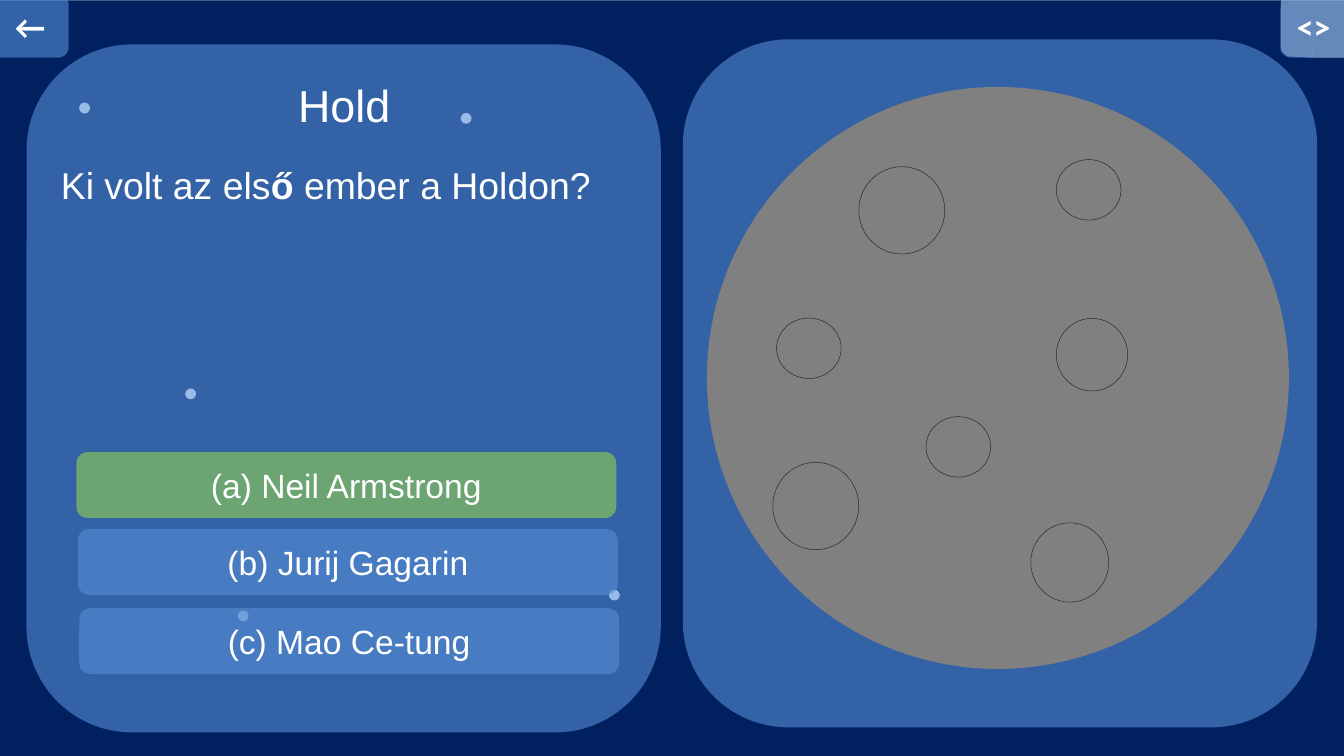
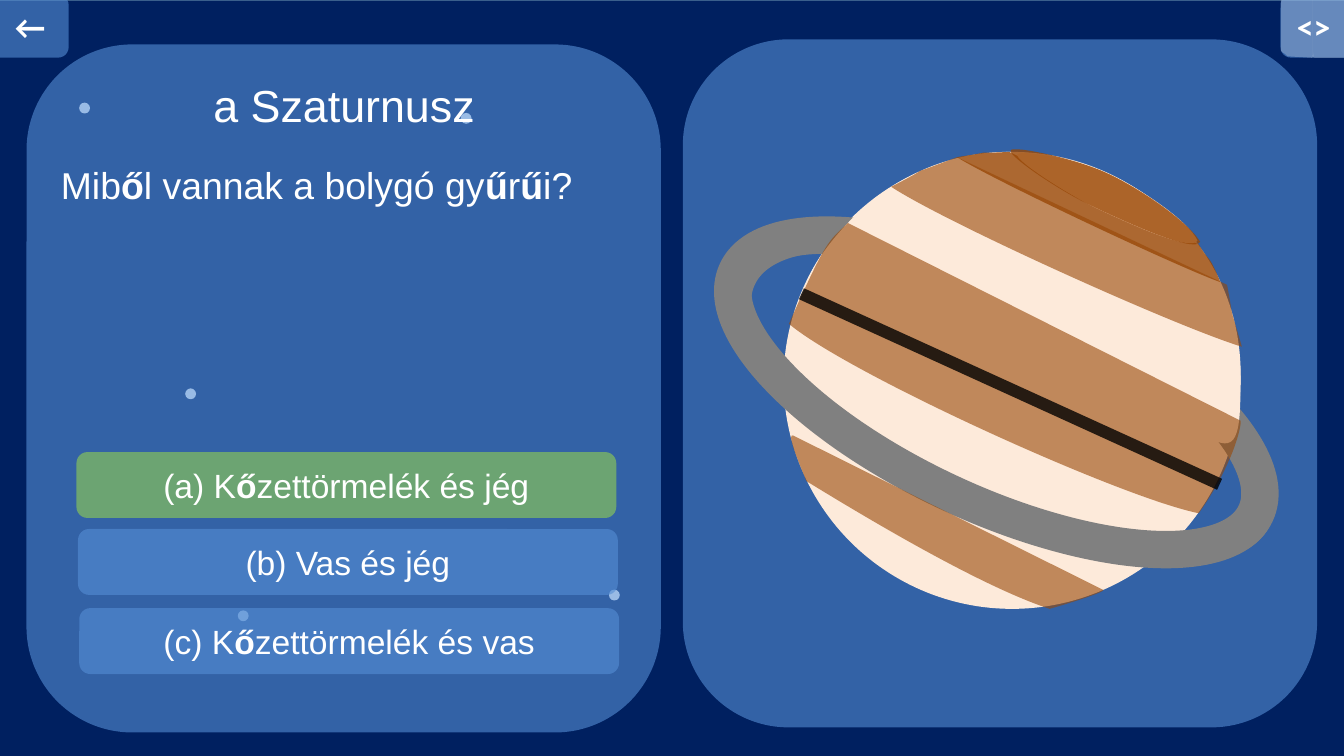
from dataclasses import dataclass
from itertools import groupby
from math import cos, radians, sin

from lxml.etree import SubElement
from pptx import Presentation
from pptx.dml.color import RGBColor
from pptx.enum.shapes import MSO_SHAPE
from pptx.enum.text import MSO_ANCHOR, MSO_AUTO_SIZE, PP_ALIGN
from pptx.oxml.ns import qn
from pptx.util import Pt


@dataclass(frozen=True)
class Theme:
    """Colours, fonts and type sizes of the quiz."""
    night: str = "002060"
    frame: str = "3A5F8C"
    panel: str = "558ED5"
    right: str = "92D050"
    white: str = "FFFFFF"
    rock: str = "808080"
    crater: str = "262626"
    cream: str = "FDEADA"
    peach: str = "FCD5B5"
    brown: str = "984807"
    black: str = "000000"
    text_font: str = "Arial"
    button_font: str = "Calibri"
    title_size: int = 24
    question_size: int = 20
    button_size: int = 18


@dataclass(frozen=True)
class Outline:
    """A box, its rotation, and page points: 2 numbers a line, 6 a curve."""
    box: tuple
    rotation: float
    steps: list


T = Theme()

STARS = [(326.2, 315.9), (246.8, 60.5), (99.2, 208.1), (127.4, 327), (42.4, 55)]
ANSWER_SPOTS = [(41, 242.2), (41.8, 283.4), (42.5, 325.8)]
CRATERS = [
    (565.9, 170.6, 38.2, 38.9),
    (552.2, 280.1, 41.8, 42.5),
    (460.1, 89.3, 46.1, 46.8),
    (414, 247.7, 46.1, 46.8),
    (416, 170.4, 34.6, 32.4),
    (565.9, 85.5, 34.6, 32.4),
    (496.1, 223.2, 34.6, 32.4),
]
BUTTON_HALVES = [
    Outline((686.2, -2.9, 18, 33.8), 0, [
        (686.2, 0), (688.3, -2.2, 687.6, -0.7, 689, -2.9), (702, -2.9),
        (704.2, -2.9, 703.4, -2.2, 703.4, 0), (703.4, 28.1),
        (703.4, 29.5, 704.2, 31, 702.7, 31), (689.8, 30.2),
        (688.3, 28.8, 689, 29.5, 686.2, 27.4), (686.2, 0)]),
    Outline((703.4, -2.9, 20.2, 33.8), 0, [
        (703.4, 0), (703.4, -1.4, 702.7, -2.9, 704.2, -2.9), (720, -2.9),
        (722.2, -2.9, 723.6, -1.4, 723.6, 0), (723.6, 27.4),
        (723.6, 29.5, 724.3, 31, 722.2, 31), (704.2, 31),
        (702.7, 31, 703.4, 29.5, 703.4, 27.4), (703.4, 0)]),
]
DOME = Outline((429.1, 81.4, 235.4, 156.2), 0, [
    (430.6, 155.5), (434.9, 138.2, 473.8, 81.4, 540, 81.4),
    (606.2, 82.1, 667.4, 131, 664.6, 205.9),
    (664.6, 273.6, 650.2, 217.4, 536.4, 179.3),
    (422.6, 140.4, 427, 172.1, 430.6, 155.5)])
POLAR_BAND = Outline((507.6, 103.7, 156.2, 17.3), 25, [
    (512.6, 84.2), (540.7, 79.9, 514.1, 82.8, 540.7, 81.4), (642.2, 131),
    (648.7, 141.8, 647.3, 135.4, 653.8, 151.2),
    (630, 142.6, 533.5, 97.2, 512.6, 84.2)])
CAP_BASE = Outline((540.7, 94.3, 106.6, 19.4), 25, [
    (545, 82.8), (546.5, 79.9, 578.9, 85.7, 594.7, 93.6),
    (610.6, 100.8, 636.5, 118.1, 641.5, 128.9),
    (638.6, 135.4, 602.6, 118.8, 586.1, 110.9),
    (570.2, 103, 543.6, 85.7, 545, 82.8)])
CAP = Outline((536.4, 93.6, 113, 19.4), 25, [
    (541.4, 80.6), (542.2, 77.8, 577.4, 85, 594.7, 93.6),
    (611.3, 101.5, 636.5, 118.8, 643, 129.6),
    (640.1, 136.1, 601.2, 118.1, 584.6, 110.2),
    (567.4, 102.2, 540, 83.5, 541.4, 80.6)])
NORTH_BAND = Outline((473.8, 114.5, 205.9, 33.8), 24.2, [
    (477.4, 100.1), (509.8, 83.5, 473.8, 99.4, 512.6, 84.2), (657.4, 152.6),
    (661.7, 175.7, 657.4, 158.4, 665.3, 185.8),
    (630, 175, 506.9, 119.5, 477.4, 100.1)])
EQUATOR_BAND = Outline((422.6, 164.2, 245.5, 71.3), 24.2, [
    (422.6, 173.5), (442.8, 128.2, 443.5, 129.6, 454.3, 119.5), (664.6, 225.4),
    (665.3, 227.5, 661, 248.4, 642.2, 275),
    (599.8, 266.4, 454.3, 200.2, 422.6, 173.5)])
SOUTH_BAND = Outline((409.7, 270, 186.5, 29.5), 24.2, [
    (432, 257.8), (425.5, 241.9, 421.9, 232.6, 424.8, 233.3), (591.1, 316.1),
    (591.8, 316.8, 582.5, 320.4, 562.3, 326.2),
    (524.9, 313.9, 463.7, 277.2, 432, 257.8)])


def style(sp, fill=None, alpha=100, line=None, width=1):
    """Give a shape its fill, opacity and outline."""
    sp.shadow.inherit = False
    if fill:
        sp.fill.solid()
        sp.fill.fore_color.rgb = RGBColor.from_string(fill)
        if alpha < 100:
            clr = sp.element.spPr.find(f"{qn('a:solidFill')}/{qn('a:srgbClr')}")
            SubElement(clr, qn("a:alpha"), val=str(alpha * 1000))
    else:
        sp.fill.background()
    if line:
        sp.line.color.rgb = RGBColor.from_string(line)
        sp.line.width = Pt(width)
    else:
        sp.line.fill.background()
    return sp


def add_preset(shapes, kind, box, rotation=0, **look):
    """Add a preset shape in a box given in points."""
    sp = shapes.add_shape(kind, *map(Pt, box))
    sp.rotation = rotation
    return style(sp, **look)


def add_outline(shapes, outline, **look):
    """Add a freeform that fills its box, then turn its sides into curves."""
    x, y, w, h = outline.box
    builder = shapes.build_freeform(Pt(x), Pt(y))
    builder.add_line_segments([(Pt(x + w), Pt(y)), (Pt(x + w), Pt(y + h)), (Pt(x), Pt(y + h))])
    sp = builder.convert_to_shape()
    sp.rotation = outline.rotation
    track = sp.element.spPr.find(f".//{qn('a:path')}")
    for side in list(track):
        track.remove(side)
    turn = radians(outline.rotation)
    for i, step in enumerate(outline.steps):
        tag = "a:cubicBezTo" if len(step) == 6 else "a:lnTo" if i else "a:moveTo"
        side = SubElement(track, qn(tag))
        for px, py in zip(step[::2], step[1::2]):
            dx, dy = px - x - w / 2, py - y - h / 2
            SubElement(side, qn("a:pt"),
                       x=str(Pt(w / 2 + dx * cos(turn) + dy * sin(turn))),
                       y=str(Pt(h / 2 - dx * sin(turn) + dy * cos(turn))))
    SubElement(track, qn("a:close"))
    return style(sp, **look)


def write(sp, text, size, font=T.text_font, bold=False, align=PP_ALIGN.CENTER,
          anchor=MSO_ANCHOR.MIDDLE):
    """Write one paragraph, with the letters ő and ű in bold."""
    tf = sp.text_frame
    tf.word_wrap = True
    tf.vertical_anchor = anchor
    p = tf.paragraphs[0]
    p.alignment = align
    for is_long, letters in groupby(text, key=lambda letter: letter in "őű"):
        r = p.add_run()
        r.text = "".join(letters)
        r.font.name = font
        r.font.size = Pt(size)
        r.font.bold = bold or is_long
        r.font.color.rgb = RGBColor.from_string(T.white)


def add_panel(s, left, top):
    """Add one of the two large rounded panels."""
    return add_preset(s.shapes, MSO_SHAPE.ROUNDED_RECTANGLE, (left, top, 339.8, 368.6),
                      fill=T.panel, alpha=60)


def add_sky(s):
    """Add the night background and its stars."""
    add_preset(s.shapes, MSO_SHAPE.RECTANGLE, (-1.4, -0.7, 722.9, 406.8),
               fill=T.night, line=T.frame, width=2)
    for x, y in STARS:
        add_preset(s.shapes, MSO_SHAPE.OVAL, (x, y, 5.8, 5.8), fill=T.white)


def add_title(s, text, panel):
    """Place the title in front of its panel."""
    title = s.shapes.title
    panel.element.addnext(title.element)
    title.left, title.top, title.width, title.height = map(Pt, (65.2, 38.2, 238.3, 36))
    write(title, text, T.title_size, anchor=MSO_ANCHOR.TOP)
    title.text_frame.auto_size = MSO_AUTO_SIZE.SHAPE_TO_FIT_TEXT


def add_question(s, text):
    """Add the question below the title."""
    tb = s.shapes.add_textbox(*map(Pt, (25.5, 83.5, 317.5, 55.4)))
    write(tb, text, T.question_size, align=PP_ALIGN.LEFT, anchor=MSO_ANCHOR.TOP)
    tb.text_frame.auto_size = MSO_AUTO_SIZE.SHAPE_TO_FIT_TEXT


def add_answer(s, i, answer):
    """Add an answer button; the first one is right."""
    sp = add_preset(s.shapes, MSO_SHAPE.ROUNDED_RECTANGLE, (*ANSWER_SPOTS[i], 289.2, 35.3),
                    fill=T.panel if i else T.right, alpha=60)
    write(sp, f"({'abc'[i]}) {answer}", T.button_size)


def add_corner_button(shapes, left, text, align):
    """Add a navigation button in a top corner."""
    sp = add_preset(shapes, MSO_SHAPE.ROUNDED_RECTANGLE, (left, -2.9, 45.4, 33.8),
                    fill=T.panel, alpha=60)
    write(sp, text, T.button_size, T.button_font, bold=True, align=align)


def add_switch_button(s):
    """Add the right corner button with its two lighter halves."""
    shapes = s.shapes.add_group_shape().shapes
    add_corner_button(shapes, 686, "<>", PP_ALIGN.LEFT)
    for half in BUTTON_HALVES:
        add_outline(shapes, half, fill=T.white, alpha=25)


def draw_moon(s):
    """Draw the Moon and its craters."""
    shapes = s.shapes.add_group_shape().shapes
    add_preset(shapes, MSO_SHAPE.OVAL, (378.7, 46.6, 311.8, 311.8), fill=T.rock)
    for crater in CRATERS:
        add_preset(shapes, MSO_SHAPE.OVAL, crater, line=T.crater, width=0.25)


def draw_saturn(s):
    """Draw Saturn, its rings and its bands."""
    shapes = s.shapes.add_group_shape().shapes
    add_preset(shapes, MSO_SHAPE.OVAL, (419.8, 81.4, 244.8, 244.8), fill=T.cream)
    for box, width in [((387.4, 156.2, 304.6, 118.8), 6), ((380.4, 150.8, 306.7, 118.8), 20)]:
        add_preset(shapes, MSO_SHAPE.OVAL, box, rotation=25, line=T.rock, width=width)
    for outline, fill, alpha in [
        (DOME, T.cream, 100),
        (POLAR_BAND, T.brown, 80),
        (CAP_BASE, T.peach, 100),
        (CAP, T.brown, 80),
        (NORTH_BAND, T.brown, 60),
        (EQUATOR_BAND, T.brown, 60),
    ]:
        add_outline(shapes, outline, fill=fill, alpha=alpha)
    add_preset(shapes, MSO_SHAPE.RECTANGLE, (418.3, 205.2, 246.2, 6.5), rotation=24.5,
               fill=T.black, alpha=80)
    add_outline(shapes, SOUTH_BAND, fill=T.brown, alpha=60)


def add_quiz_slide(prs, title, question, answers, draw_planet):
    """Add one quiz slide with its drawing."""
    s = prs.slides.add_slide(prs.slide_layouts[5])
    add_sky(s)
    add_title(s, title, add_panel(s, 14.2, 23.8))
    add_question(s, question)
    add_corner_button(s.shapes, -8.6, " ←", PP_ALIGN.CENTER)
    for i in (2, 0, 1):
        add_answer(s, i, answers[i])
    add_panel(s, 365.8, 21.1)
    draw_planet(s)
    add_switch_button(s)


def main():
    """Build the quiz and save it."""
    prs = Presentation()
    prs.slide_width, prs.slide_height = Pt(720), Pt(405)
    add_quiz_slide(prs, "Hold", "Ki volt az első ember a Holdon?",
                   ["Neil Armstrong", "Jurij Gagarin", "Mao Ce-tung"], draw_moon)
    add_quiz_slide(prs, "a Szaturnusz", "Miből vannak a bolygó gyűrűi?",
                   ["Kőzettörmelék és jég", "Vas és jég", "Kőzettörmelék és vas"],
                   draw_saturn)
    prs.save("out.pptx")


if __name__ == "__main__":
    main()
